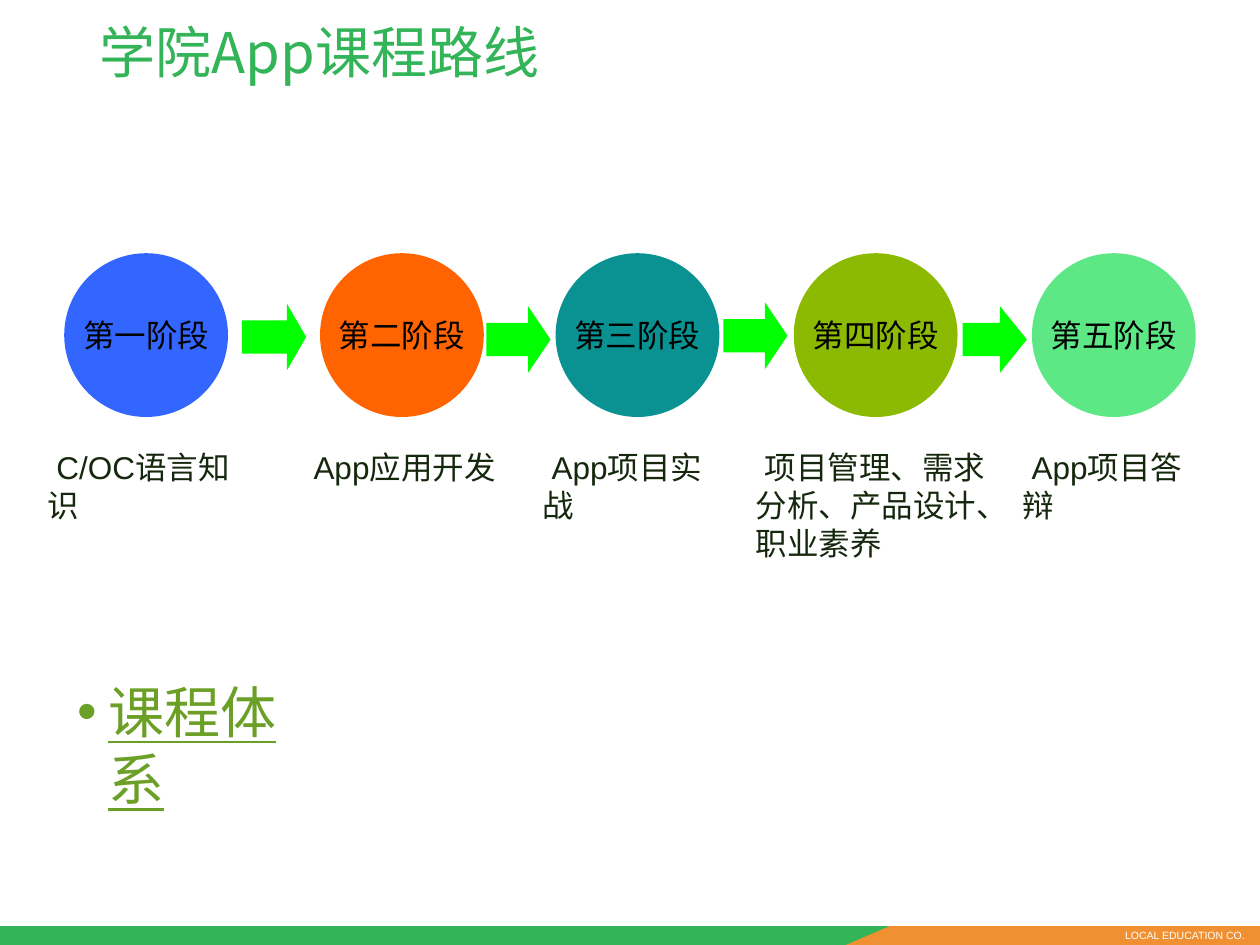
from pptx import Presentation
from pptx.dml.color import RGBColor
from pptx.enum.shapes import MSO_SHAPE
from pptx.enum.text import MSO_ANCHOR, MSO_AUTO_SIZE, PP_ALIGN
from pptx.util import Inches, Pt
from lxml import etree

OVAL, ARROW, RECT = MSO_SHAPE.OVAL, MSO_SHAPE.RIGHT_ARROW, MSO_SHAPE.RECTANGLE
MIDDLE, TOP = MSO_ANCHOR.MIDDLE, MSO_ANCHOR.TOP
LEFT, CENTER = PP_ALIGN.LEFT, PP_ALIGN.CENTER
NS = "{http://schemas.openxmlformats.org/drawingml/2006/main}"

COLORS = {
    "green": "33B458", "orange": "F19032", "white": "FFFFFF", "black": "000000",
    "label": "15280E", "link": "6B9F25", "arrow": "00FF00",
    "stage1": "3366FF", "stage2": "FF6401", "stage3": "0A9293",
    "stage4": "8CBA02", "stage5": "5DE785",
}


def write(sp, text, size=18, color="black", font="Arial", align=LEFT,
          anchor=TOP, wrap=True, margin=None, indent=0, hang=0, bullet=None,
          underline=None, spacing=None):
    tf = sp.text_frame
    tf.auto_size = MSO_AUTO_SIZE.NONE
    tf.word_wrap = wrap
    tf.vertical_anchor = anchor
    if margin is not None:
        tf.margin_left = tf.margin_right = Inches(margin)
        tf.margin_top = tf.margin_bottom = Inches(margin)
    p = tf.paragraphs[0]
    p.alignment = align
    if spacing:
        p.line_spacing = spacing
    pPr = p._p.get_or_add_pPr()
    pPr.set("marL", str(Inches(hang)))
    pPr.set("indent", str(Inches(indent)))
    if bullet:
        etree.SubElement(pPr, NS + "buClrTx")
        etree.SubElement(pPr, NS + "buFont", typeface="Arial")
        etree.SubElement(pPr, NS + "buChar", char=bullet)
    r = p.add_run()
    r.text = text
    r.font.name = font
    r.font.size = Pt(size)
    r.font.underline = underline
    r.font.color.rgb = RGBColor.from_string(COLORS[color])


def paint(sp, color):
    sp.shadow.inherit = False
    sp.fill.solid()
    sp.fill.fore_color.rgb = RGBColor.from_string(COLORS[color])
    sp.line.fill.background()


prs = Presentation()
prs.slide_width, prs.slide_height = Inches(10), Inches(7.5)
s = prs.slides.add_slide(prs.slide_layouts[5])

bar = s.shapes.add_shape(RECT, Inches(0), Inches(7.35), Inches(10), Inches(0.15))
paint(bar, "orange")
fb = s.shapes.build_freeform(Inches(0), Inches(7.35))
fb.add_line_segments([(Inches(x), Inches(y)) for x, y in
                      [(7.06, 7.35), (6.71, 7.5), (0, 7.5)]], close=True)
paint(fb.convert_to_shape(), "green")
footer = s.shapes.add_textbox(Inches(8.93), Inches(7.37), Inches(1.07), Inches(0.11))
write(footer, "LOCAL EDUCATION CO.", size=6, color="white", margin=0)

title = s.shapes.title
title.left, title.top = Inches(0.69), Inches(0.17)
title.width, title.height = Inches(7.44), Inches(0.54)
write(title, "学院App课程路线", size=32, color="green", font="Noto Sans CJK SC",
      anchor=MIDDLE, spacing=0.9)

stages = [
    ("第一阶段", 0.51, "C/OC语言知识", 0.28, 1.86),
    ("第二阶段", 2.54, "App应用开发", 2.32, 1.76),
    ("第三阶段", 4.41, "App项目实战", 4.21, 1.65),
    ("第四阶段", 6.3, "项目管理、需求分析、产品设计、职业素养", 5.9, 2.06),
    ("第五阶段", 8.19, "App项目答辩", 8.02, 1.63),
]
for i, (name, x, topic, label_x, label_w) in enumerate(stages, 1):
    circle = s.shapes.add_shape(OVAL, Inches(x), Inches(2.01), Inches(1.3), Inches(1.3))
    paint(circle, f"stage{i}")
    write(circle, name, align=CENTER, anchor=MIDDLE, wrap=False)
    label = s.shapes.add_textbox(Inches(label_x), Inches(3.51), Inches(label_w), Inches(0.4))
    write(label, topic, color="label", indent=0.07)

for x, y, head in [(1.92, 2.41, 0.3), (3.86, 2.43, 0.35), (5.74, 2.4, 0.35), (7.64, 2.43, 0.42)]:
    arrow = s.shapes.add_shape(ARROW, Inches(x), Inches(y), Inches(0.51), Inches(0.53))
    arrow.adjustments[0], arrow.adjustments[1] = 0.5, head
    paint(arrow, "arrow")

system = s.shapes.add_textbox(Inches(0.52), Inches(5.33), Inches(2.14), Inches(0.64))
write(system, "课程体系", size=32, color="link", hang=0.24, indent=-0.24,
      bullet="•", underline=True)

prs.save("out.pptx")
